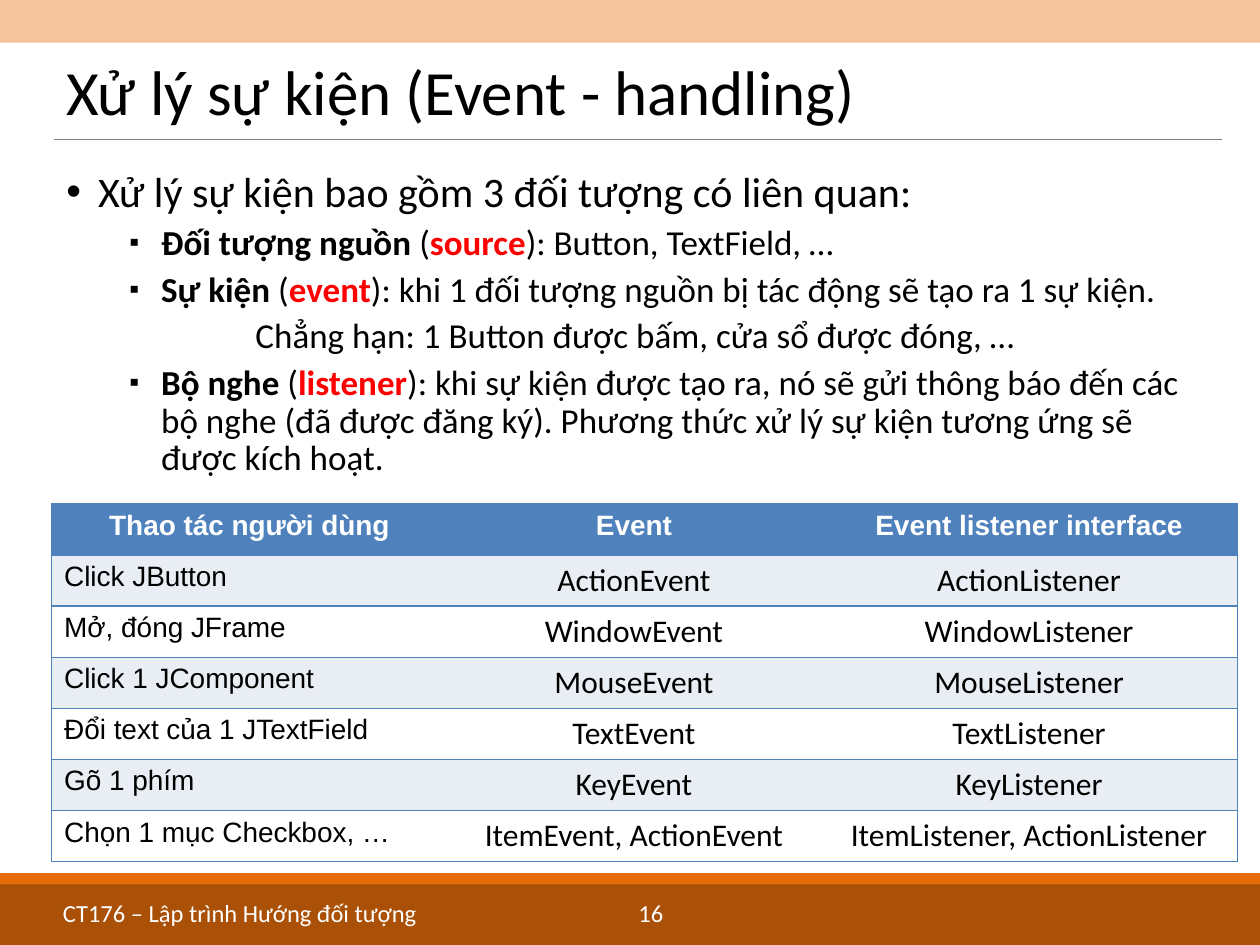
from pptx import Presentation
from pptx.dml.color import RGBColor as RGB
from pptx.enum.shapes import MSO_CONNECTOR as Conn, MSO_SHAPE as Shape
from pptx.enum.text import MSO_ANCHOR as Anchor, PP_ALIGN as Align
from pptx.oxml.ns import qn
from pptx.util import Cm, Pt
from lxml.etree import SubElement as Sub

ORANGE = RGB(0xE4, 0x6C, 0x0A)
BROWN = RGB(0x98, 0x48, 0x07)
GRAY = RGB(0x80, 0x80, 0x80)
BLUE = RGB(0x4F, 0x81, 0xBD)
PALE = RGB(0xE9, 0xED, 0xF4)
RED = RGB(0xFF, 0, 0)
BLACK = RGB(0, 0, 0)
WHITE = RGB(0xFF, 0xFF, 0xFF)

POINTS = [
    ("Đối tượng nguồn", "source", "): Button, TextField, …"),
    ("Sự kiện", "event",
     "): khi 1 đối tượng nguồn bị tác động sẽ tạo ra 1 sự kiện."),
    ("Bộ nghe", "listener",
     "): khi sự kiện được tạo ra, nó sẽ gửi thông báo đến các bộ nghe "
     "(đã được đăng ký). Phương thức xử lý sự kiện tương ứng sẽ được "
     "kích hoạt."),
]
EXAMPLE = "Chẳng hạn: 1 Button được bấm, cửa sổ được đóng, …"
ROWS = [
    ("Thao tác người dùng", "Event", "Event listener interface"),
    ("Click JButton", "ActionEvent", "ActionListener"),
    ("Mở, đóng JFrame", "WindowEvent", "WindowListener"),
    ("Click 1 JComponent", "MouseEvent", "MouseListener"),
    ("Đổi text của 1 JTextField", "TextEvent", "TextListener"),
    ("Gõ 1 phím", "KeyEvent", "KeyListener"),
    ("Chọn 1 mục Checkbox, …", "ItemEvent, ActionEvent",
     "ItemListener, ActionListener"),
]
WIDTHS = [7.98, 7.52, 8.41]
ROW_H = 1.03


def set_font(par, size, color=BLACK, name="Calibri", bold=False):
    font = par.font
    font.name, font.size, font.bold = name, Pt(size), bold
    font.color.rgb = color


def add_bar(slide, top, height, color, alpha=100):
    bar = slide.shapes.add_shape(Shape.RECTANGLE, 0, Cm(top), Cm(25.4),
                                 Cm(height))
    bar.shadow.inherit = False
    bar.line.fill.background()
    bar.fill.solid()
    bar.fill.fore_color.rgb = color
    if alpha < 100:
        tint = bar.fill._xPr.find(".//" + qn("a:srgbClr"))
        Sub(tint, qn("a:alpha"), val=str(alpha * 1000))


def add_rule(slide):
    rule = slide.shapes.add_connector(Conn.STRAIGHT, Cm(1.09), Cm(2.82),
                                      Cm(24.64), Cm(2.82))
    rule.line.color.rgb = GRAY
    rule.line.width = Pt(0.5)
    Sub(rule._element.spPr, qn("a:effectLst"))


def add_box(slide, left, top, width, height, anchor=Anchor.TOP):
    box = slide.shapes.add_textbox(Cm(left), Cm(top), Cm(width), Cm(height))
    frame = box.text_frame
    frame.word_wrap = True
    frame.vertical_anchor = anchor
    return frame


def add_label(slide, text, size, color, *place):
    par = add_box(slide, *place, Anchor.MIDDLE).paragraphs[0]
    par.text = text
    par.line_spacing = 0.9
    set_font(par, size, color)


def add_par(frame, size, before, left, mark=None, scale=100):
    """Start a paragraph; left is its indent, mark its hanging bullet."""
    first = frame.paragraphs[0]
    par = frame.add_paragraph() if first.runs else first
    par.line_spacing = 0.9
    par.space_before = Pt(before)
    props = par._p.get_or_add_pPr()
    props.set("marL", str(Cm(left)))
    props.set("indent", str(-Cm(0.64) if mark else 0))
    if mark:
        Sub(props, qn("a:buSzPct"), val=str(scale * 1000))
        Sub(props, qn("a:buFont"), typeface="Arial")
        Sub(props, qn("a:buChar"), char=mark)
    set_font(par, size)
    return par


def add_point(frame, name, term, rest):
    par = add_par(frame, 20, 5, 1.91, "▪", 80)
    for text, bold, color in ((name + " ", True, BLACK), ("(", False, BLACK),
                              (term, True, RED), (rest, False, BLACK)):
        run = par.add_run()
        run.text = text
        run.font.bold = bold
        run.font.color.rgb = color


def set_edges(cell, drawn):
    props = cell._tc.get_or_add_tcPr()
    for side in "LRTB":
        edge = Sub(props, qn("a:ln" + side), w=str(Pt(1)))
        if side in drawn:
            fill = Sub(edge, qn("a:solidFill"))
            Sub(fill, qn("a:srgbClr"), val=str(BLUE))
        else:
            Sub(edge, qn("a:noFill"))


def add_grid(slide):
    table = slide.shapes.add_table(
        len(ROWS), len(WIDTHS), Cm(1.04), Cm(10.16), Cm(sum(WIDTHS)),
        Cm(ROW_H * len(ROWS))).table
    table.horz_banding = False
    for col, width in zip(table.columns, WIDTHS):
        col.width = Cm(width)
    for r, texts in enumerate(ROWS):
        table.rows[r].height = Cm(ROW_H)
        head = r == 0
        for c, text in enumerate(texts):
            cell = table.cell(r, c)
            set_edges(cell, ("LTB", "TB", "RTB")[c])
            cell.fill.solid()
            cell.fill.fore_color.rgb = (
                BLUE if head else PALE if r % 2 else WHITE)
            par = cell.text_frame.paragraphs[0]
            par.text = text
            par.alignment = Align.CENTER if head or c else Align.LEFT
            if head:
                set_font(par, 16, WHITE, "Arial", True)
            elif c == 0:
                set_font(par, 16, name="Arial")
            else:
                set_font(par, 18)


def main():
    prs = Presentation()
    prs.slide_width, prs.slide_height = Cm(25.4), Cm(19.05)
    slide = prs.slides.add_slide(prs.slide_layouts[6])

    # Bars and title rule
    add_bar(slide, 0, 0.86, ORANGE, 40)
    add_bar(slide, 17.6, 1.45, ORANGE)
    add_bar(slide, 17.83, 1.22, BROWN, 75)
    add_rule(slide)

    # Footer and title
    add_label(slide, "CT176 – Lập trình Hướng đối tượng", 14, WHITE,
              1.02, 18.08, 11, 0.71)
    add_label(slide, "16", 14, WHITE, 12.62, 18.08, 2, 0.71)
    add_label(slide, "Xử lý sự kiện (Event - handling)", 36, BLACK,
              1.09, 1.02, 23.55, 1.78)

    # Body text
    body = add_box(slide, 1.09, 3.33, 23.55, 6.53)
    lead = add_par(body, 24, 10, 0.64, "•")
    lead.add_run().text = "Xử lý sự kiện bao gồm 3 đối tượng có liên quan:"
    for point in POINTS:
        add_point(body, *point)
        if point[1] == "event":
            add_par(body, 20, 5, 3.81).add_run().text = EXAMPLE

    # Event table
    add_grid(slide)
    prs.save("out.pptx")


if __name__ == "__main__":
    main()
